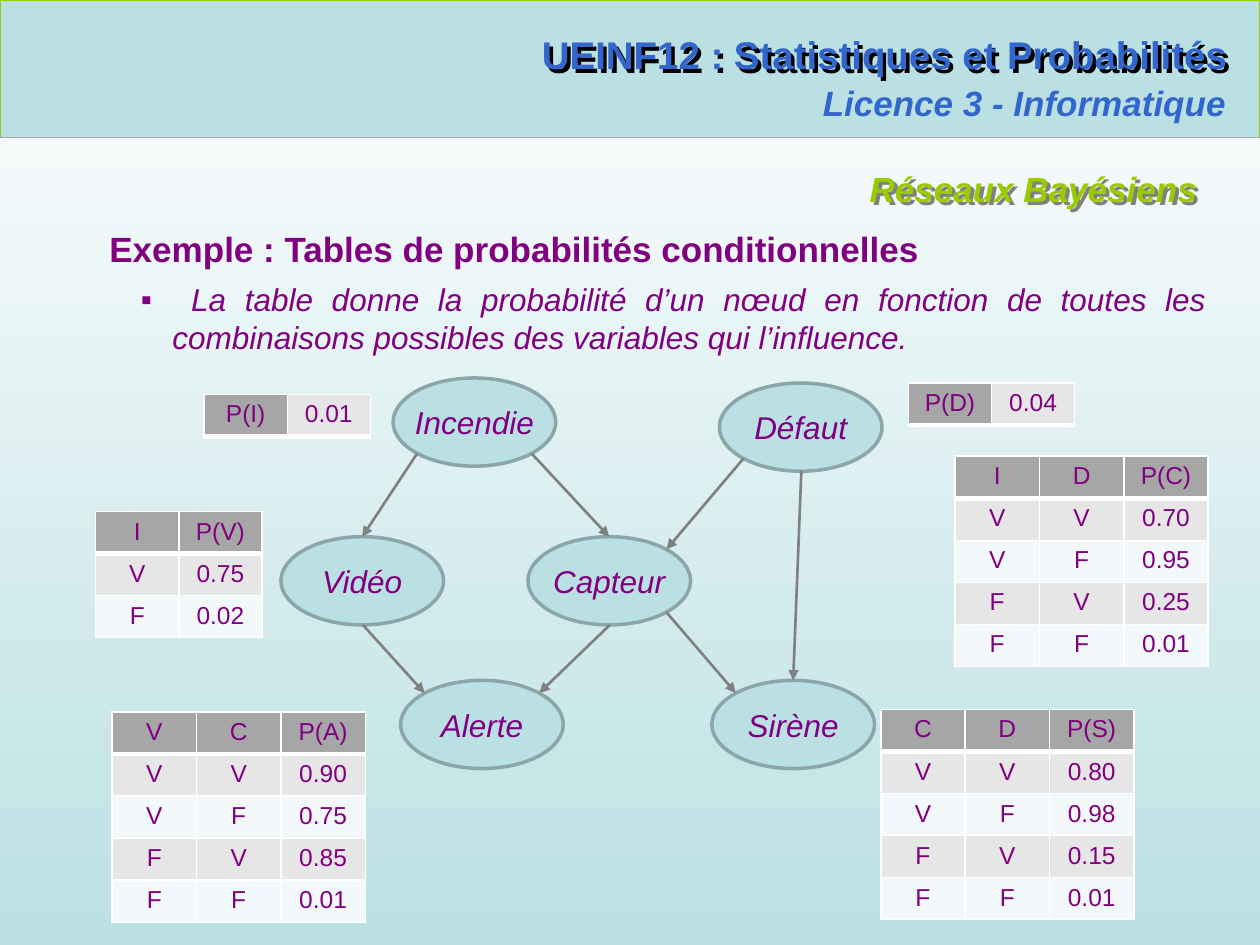
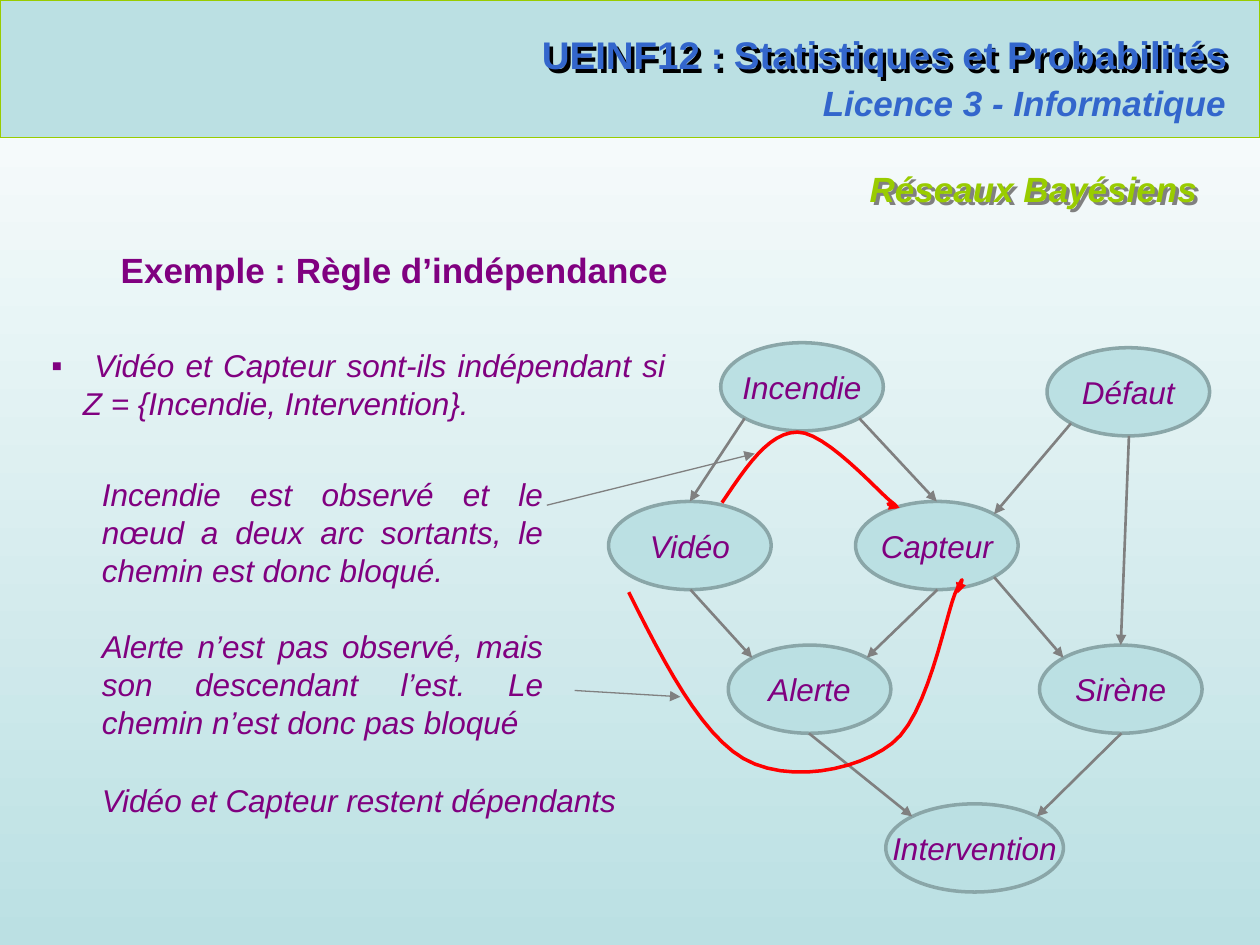
from typing import NamedTuple

from lxml.etree import SubElement
from pptx import Presentation
from pptx.dml.color import RGBColor
from pptx.enum.shapes import MSO_CONNECTOR, MSO_SHAPE
from pptx.enum.text import MSO_ANCHOR, MSO_AUTO_SIZE, PP_ALIGN
from pptx.oxml.ns import qn
from pptx.util import Pt

SCALE = 9144
FONT = "Arial"
HUES = {
    "white": "FFFFFF", "pale": "BBE0E3", "green": "99CC00", "blue": "3366CC",
    "plum": "800080", "rim": "8AA6A8", "grey": "808080", "red": "FF0000",
    "head": "A6A6A6", "odd": "E6E6E6", "even": "F3F9FA", "black": "000000",
}
DIAG = 0.35


class Style(NamedTuple):
    """Look of a run of text."""
    size: int
    hue: str
    bold: bool = False
    slant: bool = False


class Para(NamedTuple):
    """One paragraph and its layout."""
    text: str
    style: Style
    align: PP_ALIGN = PP_ALIGN.JUSTIFY
    left: int = 0
    mark: bool = False
    after: int = 6


class Box(NamedTuple):
    """A text box with its paragraphs."""
    x: int
    y: int
    w: int
    h: int
    paras: list[Para]
    wrap: bool = True
    shade: str = ""


class Node(NamedTuple):
    """An oval of the network."""
    name: str
    x: int
    y: int
    w: int = 129
    h: int = 70

    def site(self, side: str) -> tuple[int, int]:
        """Return the point of the rim named by t, b, l and r."""
        flat, tall = ("l" in side) - ("r" in side), ("t" in side) - ("b" in side)
        reach = DIAG if len(side) == 2 else 0.5
        return (round(self.x + self.w * (0.5 - reach * flat)),
                round(self.y + self.h * (0.5 - reach * tall)))


class Edge(NamedTuple):
    """An arrow between the rims of two nodes."""
    start: str
    out: str
    end: str
    into: str


class Grid(NamedTuple):
    """A table of odds."""
    x: int
    y: int
    col: int
    rows: list[str]


BRAND = Style(22, "blue", bold=True)
GRADE = Style(20, "blue", bold=True, slant=True)
TOPIC = Style(20, "green", bold=True, slant=True)
HEAD = Style(20, "plum", bold=True)
BODY = Style(18, "plum", slant=True)
CELL = Style(14, "plum")

BANNER = [
    Box(404, 20, 580, 47, [Para(" UEINF12 : Statistiques et Probabilités", BRAND,
                                PP_ALIGN.RIGHT, after=0)], False, "black"),
    Box(641, 60, 342, 44, [Para("Licence 3 - Informatique", GRADE,
                                PP_ALIGN.RIGHT, after=0)], False),
    Box(217, 128, 743, 44, [Para("Réseaux Bayésiens", TOPIC,
                                 PP_ALIGN.RIGHT, after=0)], True, "grey"),
]
NODES = [
    Node("Incendie", 312, 300), Node("Défaut", 571, 304), Node("Capteur", 419, 426),
    Node("Vidéo", 223, 426), Node("Sirène", 565, 540), Node("Alerte", 318, 540),
]
EDGES = [
    Edge("Défaut", "bl", "Capteur", "tr"), Edge("Incendie", "bl", "Vidéo", "t"),
    Edge("Incendie", "br", "Capteur", "t"), Edge("Défaut", "b", "Sirène", "t"),
    Edge("Capteur", "br", "Sirène", "tl"), Edge("Vidéo", "b", "Alerte", "tl"),
    Edge("Capteur", "b", "Alerte", "tr"),
]
LAST = Node("Intervention", 703, 638, 141)
JOINS = [Edge("Sirène", "b", LAST.name, "tr"), Edge("Alerte", "b", LAST.name, "tl")]
SHIFT = (260, -28)


def pairs(names: str, odds: str) -> list[str]:
    """List the rows for two parents, true before false."""
    cases = ["V V", "V F", "F V", "F F"]
    return [names] + [f"{case} {odd}" for case, odd in zip(cases, odds.split())]


GRIDS = [
    Grid(162, 313, 66, ["P(I) 0.01"]),
    Grid(76, 406, 66, ["I P(V)", "V 0.75", "F 0.02"]),
    Grid(721, 304, 66, ["P(D) 0.04"]),
    Grid(758, 362, 67, pairs("I D P(C)", "0.70 0.95 0.25 0.01")),
    Grid(89, 565, 67, pairs("V C P(A)", "0.90 0.75 0.85 0.01")),
    Grid(699, 563, 67, pairs("C D P(S)", "0.80 0.98 0.15 0.01")),
]
TABLES = Box(77, 176, 890, 113, [
    Para("Exemple : Tables de probabilités conditionnelles", HEAD),
    Para(" La table donne la probabilité d’un nœud en fonction de toutes les "
         "combinaisons possibles des variables qui l’influence.", BODY, left=50, mark=True),
])
RULES = [
    Box(86, 192, 890, 44, [Para("Exemple : Règle d’indépendance", HEAD)]),
    Box(6, 270, 532, 71, [Para(" Vidéo et Capteur sont-ils indépendant si "
                               "Z = {Incendie, Intervention}.", BODY, left=50, mark=True)]),
    Box(21, 372, 420, 101, [Para("Incendie est observé et le nœud a deux arc sortants, "
                                 "le chemin est donc bloqué.", BODY, left=50)]),
    Box(21, 493, 420, 101, [Para("Alerte n’est pas observé, mais son descendant l’est. "
                                 "Le chemin n’est donc pas bloqué", BODY, left=50)]),
    Box(21, 615, 500, 40, [Para("Vidéo et Capteur restent dépendants", BODY, left=50)]),
]
HINTS = [((434, 401), (599, 360)), ((456, 548), (540, 553))]
PATHS = [
    [(573, 399), (592, 371), (610, 343), (633, 343), (655, 343), (695, 388), (707, 398),
     (719, 407), (703, 399), (705, 400), (706, 401), (710, 402), (714, 403)],
    [(499, 470), (527, 526), (556, 582), (590, 602), (625, 622), (680, 612), (708, 590),
     (736, 569), (750, 491), (758, 471), (767, 452), (763, 462), (760, 471)],
]


def px(*nums: float) -> list[int]:
    """Turn px into EMU."""
    return [round(num * SCALE) for num in nums]


def tint(hue: str) -> RGBColor:
    """Look up a colour."""
    return RGBColor.from_string(HUES[hue])


def stroke(shape, hue: str, width: float, tip: bool = False) -> None:
    """Set the line of a shape, with an arrowhead if asked."""
    shape.line.color.rgb = tint(hue)
    shape.line.width = Pt(width)
    if tip:
        SubElement(shape._element.spPr.find(qn("a:ln")), qn("a:tailEnd"), type="triangle")


def dress(para, style: Style) -> None:
    """Format the runs of a paragraph."""
    for run in para.runs:
        font = run.font
        font.name, font.size = FONT, Pt(style.size)
        font.bold, font.italic = style.bold, style.slant
        font.color.rgb = tint(style.hue)


def indent(para, left: int, mark: bool) -> None:
    """Indent a paragraph and give it a square bullet if asked."""
    props = para._p.get_or_add_pPr()
    props.set("marL", str(px(left)[0]))
    props.set("indent", str(px(-25 if mark else 0)[0]))
    if mark:
        SubElement(props, qn("a:buFont"), typeface=FONT)
        SubElement(props, qn("a:buChar"), char="▪")


def shade(shape, hue: str) -> None:
    """Cast a shadow down and to the right."""
    effects = SubElement(shape._element.spPr, qn("a:effectLst"))
    cast = SubElement(effects, qn("a:outerShdw"), dist="35921", dir="2700000", algn="ctr")
    SubElement(cast, qn("a:srgbClr"), val=HUES[hue])


def write(slide, box: Box) -> None:
    """Draw a text box."""
    shape = slide.shapes.add_textbox(*px(box.x, box.y, box.w, box.h))
    frame = shape.text_frame
    frame.word_wrap = box.wrap
    frame.auto_size = MSO_AUTO_SIZE.SHAPE_TO_FIT_TEXT
    for i, item in enumerate(box.paras):
        para = frame.add_paragraph() if i else frame.paragraphs[0]
        para.text = item.text
        para.alignment = item.align
        para.space_after = Pt(item.after)
        indent(para, item.left, item.mark)
        dress(para, item.style)
    if box.shade:
        shade(shape, box.shade)


def link(slide, start: tuple, end: tuple, hue: str, width: float, tip: bool = True):
    """Draw a straight line or arrow."""
    line = slide.shapes.add_connector(MSO_CONNECTOR.STRAIGHT, *px(*start, *end))
    stroke(line, hue, width, tip)
    SubElement(line._element.spPr, qn("a:effectLst"))
    return line


def solid(slide, kind: MSO_SHAPE, area: tuple, rim: str, width: float):
    """Draw a pale shape with a rim."""
    shape = slide.shapes.add_shape(kind, *px(*area))
    shape.shadow.inherit = False
    shape.fill.solid()
    shape.fill.fore_color.rgb = tint("pale")
    stroke(shape, rim, width)
    return shape


def graph(slide, nodes: list[Node], edges: list[Edge]) -> None:
    """Draw the network of nodes and arrows."""
    ovals = {}
    for node in nodes:
        oval = solid(slide, MSO_SHAPE.OVAL, node[1:], "rim", 2)
        frame = oval.text_frame
        frame.text = node.name
        frame.word_wrap = False
        frame.vertical_anchor = MSO_ANCHOR.MIDDLE
        frame.paragraphs[0].alignment = PP_ALIGN.CENTER
        dress(frame.paragraphs[0], BODY)
        ovals[node.name] = oval
    spots = {node.name: node for node in nodes}
    for edge in edges:
        line = link(slide, spots[edge.start].site(edge.out),
                    spots[edge.end].site(edge.into), "grey", 1.5)
        if edge.into == "t":
            line.end_connect(ovals[edge.end], 0)


def border(cell, top: bool) -> None:
    """Rule a cell in white, thick below the top row."""
    props = cell._tc.get_or_add_tcPr()
    for side in "LRTB" if top else "LRB":
        width = Pt(3 if top and side == "B" else 1)
        line = SubElement(props, qn(f"a:ln{side}"), w=str(width))
        SubElement(SubElement(line, qn("a:solidFill")), qn("a:srgbClr"), val=HUES["white"])


def chart(slide, grid: Grid) -> None:
    """Draw a table of odds."""
    rows = [row.split() for row in grid.rows]
    high, wide = len(rows), len(rows[0])
    table = slide.shapes.add_table(
        high, wide, *px(grid.x, grid.y, grid.col * wide, 33 * high)).table
    table.first_row = table.horz_banding = False
    for col in table.columns:
        col.width = px(grid.col)[0]
    for r, row in enumerate(rows):
        for c, text in enumerate(row):
            cell = table.cell(r, c)
            cell.text = text
            para = cell.text_frame.paragraphs[0]
            para.alignment = PP_ALIGN.CENTER
            dress(para, CELL)
            border(cell, r == 0)
            head = r == 0 and (high > 1 or c == 0)
            cell.fill.solid()
            cell.fill.fore_color.rgb = tint(
                "head" if head else "odd" if r % 2 or high == 1 else "even")


def curve(slide, knots: list[tuple], steps: int = 12) -> None:
    """Draw a red arrow along joined cubic curves."""
    dots = []
    for i in range(0, len(knots) - 1, 3):
        for n in range(1, steps + 1):
            t = n / steps
            parts = ((1 - t) ** 3, 3 * t * (1 - t) ** 2, 3 * t * t * (1 - t), t ** 3)
            dots.append(px(*(sum(p * k[axis] for p, k in zip(parts, knots[i:i + 4]))
                             for axis in (0, 1))))
    pen = slide.shapes.build_freeform(*px(*knots[0]))
    pen.add_line_segments(dots, close=False)
    shape = pen.convert_to_shape()
    shape.shadow.inherit = False
    shape.fill.background()
    stroke(shape, "red", 2, True)


def start(deck):
    """Add a slide with its backdrop and banner."""
    slide = deck.slides.add_slide(deck.slide_layouts[6])
    fill = slide.background.fill
    fill.gradient()
    fill.gradient_angle = 270
    for stop, hue in zip(fill.gradient_stops, ("white", "pale")):
        stop.color.rgb = tint(hue)
    solid(slide, MSO_SHAPE.RECTANGLE, (0, 0, 1000, 109), "green", 0.75)
    link(slide, (34, 109), (976, 109), "green", 0.75, False)
    for box in BANNER:
        write(slide, box)
    return slide


def main() -> None:
    """Build both slides."""
    deck = Presentation()
    deck.slide_width, deck.slide_height = px(1000, 750)

    slide = start(deck)
    write(slide, TABLES)
    graph(slide, NODES, EDGES)
    for grid in GRIDS:
        chart(slide, grid)

    slide = start(deck)
    moved = [Node(n.name, n.x + SHIFT[0], n.y + SHIFT[1]) for n in NODES]
    graph(slide, moved + [LAST], EDGES + JOINS)
    for box in RULES:
        write(slide, box)
    for hint in HINTS:
        link(slide, *hint, "grey", 0.75)
    for knots in PATHS:
        curve(slide, knots)

    deck.save("out.pptx")


if __name__ == "__main__":
    main()
